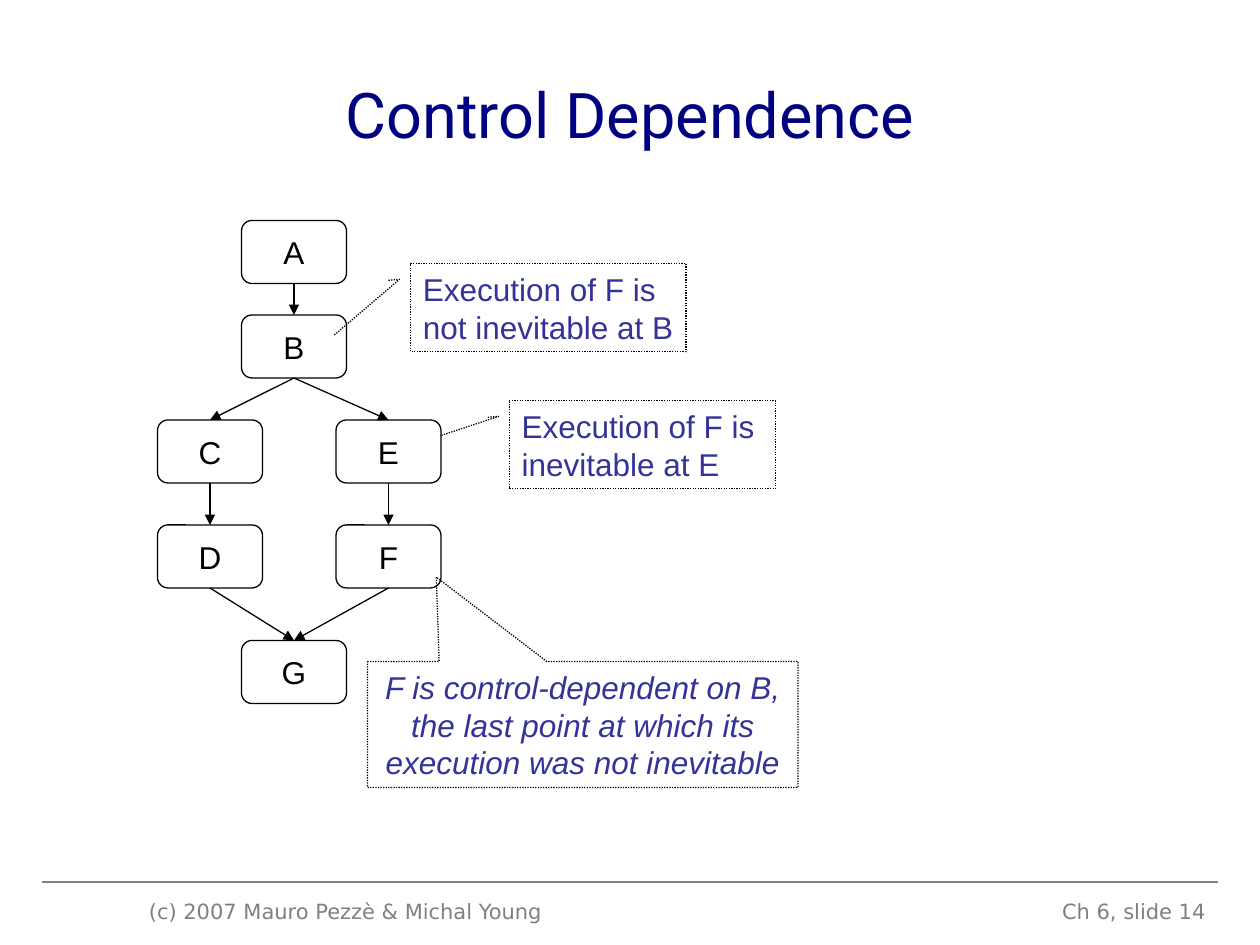
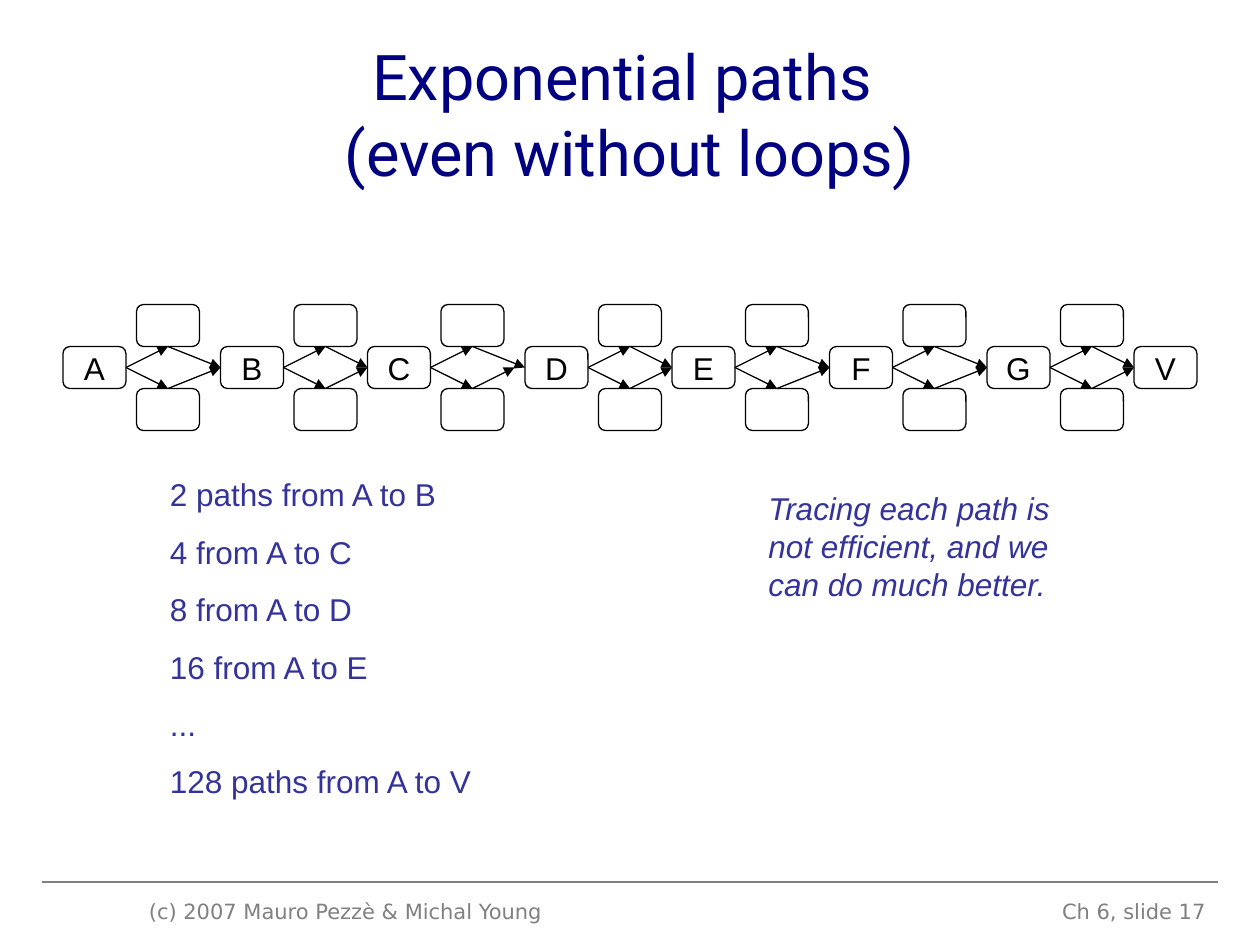
from dataclasses import dataclass
from typing import NamedTuple

from lxml import etree
from pptx import Presentation
from pptx.dml.color import RGBColor
from pptx.enum.dml import MSO_LINE
from pptx.enum.shapes import MSO_CONNECTOR, MSO_SHAPE
from pptx.enum.text import MSO_ANCHOR, PP_ALIGN
from pptx.oxml.ns import qn
from pptx.util import Inches, Pt

LEFT, CENTER, RIGHT = PP_ALIGN.LEFT, PP_ALIGN.CENTER, PP_ALIGN.RIGHT
TOP, MIDDLE, BOTTOM = MSO_ANCHOR.TOP, MSO_ANCHOR.MIDDLE, MSO_ANCHOR.BOTTOM
ROUNDED, WEDGE = MSO_SHAPE.ROUNDED_RECTANGLE, MSO_SHAPE.RECTANGULAR_CALLOUT
LEADER = MSO_SHAPE.LINE_CALLOUT_2
STRAIGHT, DOTTED = MSO_CONNECTOR.STRAIGHT, MSO_LINE.ROUND_DOT

WIDTH, HEIGHT = Inches(10), Inches(7.5)
COLUMNS, ROWS = 120, 90
BLANK = 6


class TextStyle(NamedTuple):
    font: str
    size: float
    color: str
    italic: bool = False


@dataclass(frozen=True)
class Theme:
    title: TextStyle = TextStyle("Roboto", 36, "000080")
    footer: TextStyle = TextStyle("DejaVu Sans", 12, "808080")
    label: TextStyle = TextStyle("Arial", 18, "000000")
    note: TextStyle = TextStyle("Arial", 18, "333399")
    remark: TextStyle = TextStyle("Arial", 18, "333399", True)
    ink: str = "000000"
    rule: str = "808080"
    line_width: float = 0.75
    paragraph_gap: float = 11.2


THEME = Theme()


class Area(NamedTuple):
    """A rectangle in grid columns and rows."""
    column: float
    row: float
    columns: float
    rows: float

    @property
    def center(self) -> float:
        return self.column + self.columns / 2

    @property
    def middle(self) -> float:
        return self.row + self.rows / 2

    @property
    def right(self) -> float:
        return self.column + self.columns

    @property
    def bottom(self) -> float:
        return self.row + self.rows


class Callout(NamedTuple):
    kind: MSO_SHAPE
    area: Area
    pointer: tuple[float, ...]
    lines: tuple[str, ...]
    style: TextStyle
    align: PP_ALIGN
    anchor: MSO_ANCHOR


Point = tuple[float, float]


def across(columns: float) -> int:
    return round(WIDTH * columns / COLUMNS)


def down(rows: float) -> int:
    return round(HEIGHT * rows / ROWS)


def place(area: Area) -> tuple[int, int, int, int]:
    return (across(area.column), down(area.row),
            across(area.columns), down(area.rows))


def write(frame, paragraphs, style: TextStyle, align=LEFT, anchor=TOP,
          wrap=False, gap: float = 0) -> None:
    """Fill a text frame; a newline inside a paragraph is a line break."""
    frame.word_wrap = wrap
    frame.vertical_anchor = anchor
    for index, text in enumerate(paragraphs):
        para = frame.paragraphs[0] if index == 0 else frame.add_paragraph()
        para.alignment = align
        if index and gap:
            para.space_before = Pt(gap)
        for part, piece in enumerate(text.split("\n")):
            if part:
                para.add_line_break()
            span = para.add_run()
            span.text = piece
            span.font.name = style.font
            span.font.size = Pt(style.size)
            span.font.italic = style.italic
            span.font.color.rgb = RGBColor.from_string(style.color)


def add_text(page, area: Area, paragraphs, style: TextStyle, **layout) -> None:
    box = page.shapes.add_textbox(*place(area))
    write(box.text_frame, paragraphs, style, **layout)


def set_line(item, color: str = THEME.ink) -> None:
    item.line.color.rgb = RGBColor.from_string(color)
    item.line.width = Pt(THEME.line_width)


def add_outline(page, kind: MSO_SHAPE, area: Area):
    shape = page.shapes.add_shape(kind, *place(area))
    shape.shadow.inherit = False
    shape.fill.background()
    set_line(shape)
    return shape


def add_node(page, area: Area, label: str = "") -> None:
    node = add_outline(page, ROUNDED, area)
    if label:
        write(node.text_frame, [label], THEME.label, CENTER, MIDDLE)


def add_callout(page, callout: Callout) -> None:
    shape = add_outline(page, callout.kind, callout.area)
    shape.line.dash_style = DOTTED
    for index, value in enumerate(callout.pointer):
        shape.adjustments[index] = value
    write(shape.text_frame, callout.lines, callout.style,
          callout.align, callout.anchor)


def add_line(page, start: Point, end: Point, color: str = THEME.ink):
    line = page.shapes.add_connector(
        STRAIGHT, across(start[0]), down(start[1]), across(end[0]), down(end[1]))
    set_line(line, color)
    etree.SubElement(line._element.spPr, qn("a:effectLst"))
    return line


def add_arrow(page, start: Point, end: Point) -> None:
    outline = add_line(page, start, end).line._get_or_add_ln()
    etree.SubElement(outline, qn("a:tailEnd"), type="triangle")


def add_page(deck, title: str, number: int):
    """Add a blank slide with the shared footer and title."""
    page = deck.slides.add_slide(deck.slide_layouts[BLANK])
    add_line(page, (4, 84), (116, 84), THEME.rule)
    add_text(page, Area(13, 85, 42, 3.2),
             ["(c) 2007 Mauro Pezzè & Michal Young"], THEME.footer, wrap=True)
    add_text(page, Area(88, 85, 28, 3.2), [f"Ch 6, slide {number}"],
             THEME.footer, align=RIGHT, wrap=True)
    add_text(page, Area(6, 3.6, 108, 14.4), [title], THEME.title,
             align=CENTER, anchor=MIDDLE, wrap=True)
    return page


FLOW_NODES = {
    name: Area(column, row, 10, 6)
    for name, column, row in (
        ("A", 23, 21), ("B", 23, 30), ("C", 15, 40), ("D", 15, 50),
        ("E", 32, 40), ("F", 32, 50), ("G", 23, 61))
}
FLOW_EDGES = ("AB", "BC", "BE", "CD", "EF", "DG", "FG")
CALLOUTS = (
    Callout(WEDGE, Area(35, 63, 41, 12), (-0.34, -1.17),
            ("F is control-dependent on B,", "the last point at which its",
             "execution was not inevitable"), THEME.remark, CENTER, MIDDLE),
    Callout(LEADER, Area(39.1, 25.1, 26.25, 8.4),
            (0.19, -0.08, 0.18, -0.04, 0.82, -0.28),
            ("Execution of F is", "not inevitable at B"),
            THEME.note, LEFT, BOTTOM),
    Callout(LEADER, Area(48.5, 38.15, 25.35, 8.4),
            (0.19, -0.08, 0.18, -0.04, 0.4, -0.26),
            ("Execution of F is", "inevitable at E"),
            THEME.note, LEFT, BOTTOM),
)


def add_control_dependence(deck) -> None:
    page = add_page(deck, "Control Dependence", 14)
    for name, area in FLOW_NODES.items():
        add_node(page, area, name)
    for source, target in FLOW_EDGES:
        tail, head = FLOW_NODES[source], FLOW_NODES[target]
        add_arrow(page, (tail.center, tail.bottom), (head.center, head.row))
    for callout in CALLOUTS:
        add_callout(page, callout)


STATIONS = [
    Area(column, 33, 6, 4)
    for column in (6, 21, 35, 50, 64, 79, 94, 108)
]
STATION_NAMES = "ABCDEFGV"
BRANCH_OFFSET = 7
SHORT_ARROW_INTO = "D"
PATH_COUNTS = ("2 paths from A to B", "4 from A to C", "8 from A to D",
               "16 from A to E", "...", "128 paths from A to V")


def add_branches(page, start: Area, end: Area, short: bool) -> None:
    """Draw the upper and lower way between two neighbouring stations."""
    column = start.column + BRANCH_OFFSET
    upper = Area(column, start.row - start.rows, start.columns, start.rows)
    lower = upper._replace(row=start.bottom)
    ways = ((upper, upper.bottom, 0), (lower, lower.row, 1 if short else 0))
    for branch, edge, gap in ways:
        add_node(page, branch)
        turn = (branch.center, edge)
        add_arrow(page, (start.right, start.middle), turn)
        add_arrow(page, turn, (end.column - gap, end.middle))


def add_exponential_paths(deck) -> None:
    page = add_page(deck, "Exponential paths \n(even without loops)", 17)
    for name, station in zip(STATION_NAMES, STATIONS):
        add_node(page, station, name)
    for name, start, end in zip(STATION_NAMES[1:], STATIONS, STATIONS[1:]):
        add_branches(page, start, end, name == SHORT_ARROW_INTO)
    add_text(page, Area(15, 44.6, 31.4, 32.2), PATH_COUNTS, THEME.note,
             anchor=BOTTOM, gap=THEME.paragraph_gap)
    add_text(page, Area(72, 46, 29.9, 12),
             ["Tracing each path is not efficient, and we can do much better."],
             THEME.remark, anchor=BOTTOM, wrap=True)


def main() -> None:
    deck = Presentation()
    deck.slide_width, deck.slide_height = WIDTH, HEIGHT
    add_control_dependence(deck)
    add_exponential_paths(deck)
    deck.save("out.pptx")


if __name__ == "__main__":
    main()
